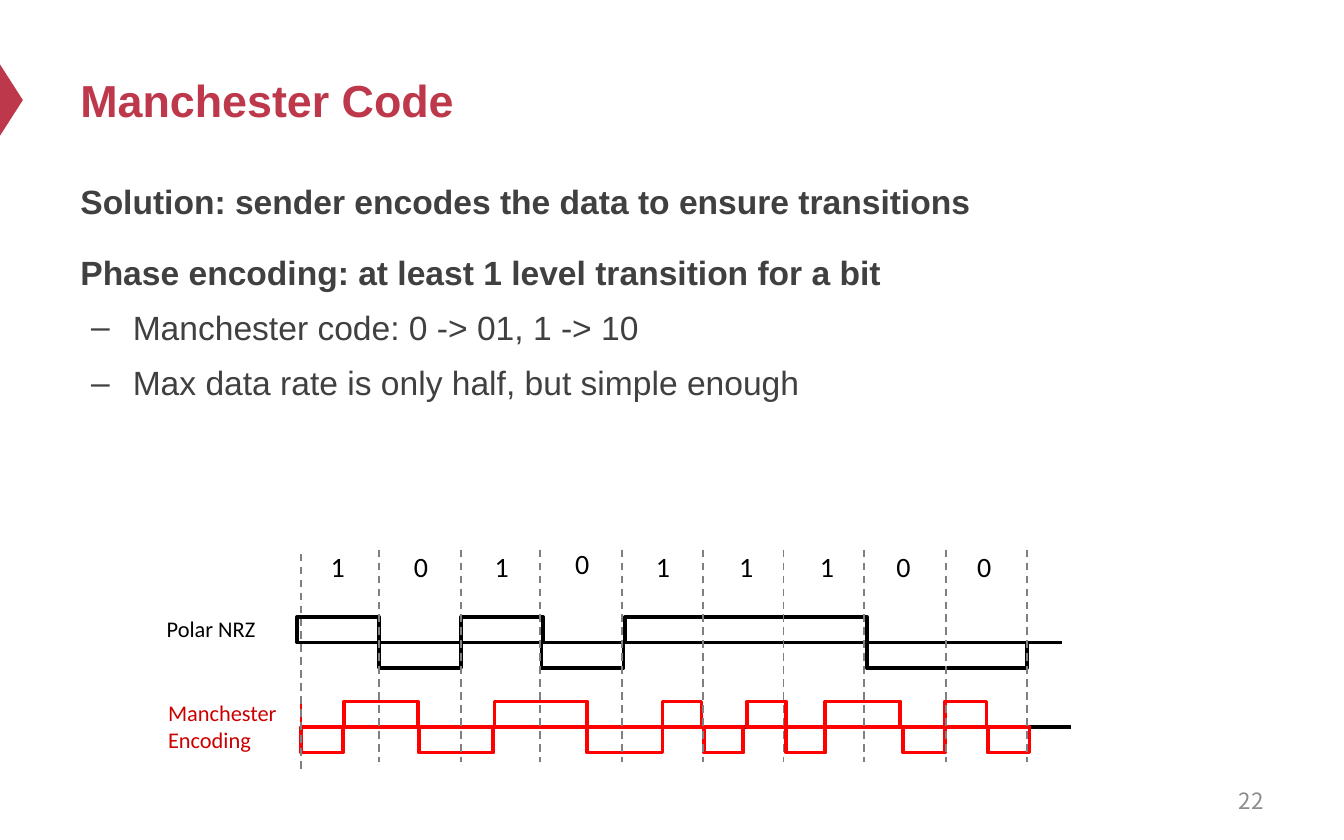
from typing import NamedTuple

from lxml.etree import SubElement
from pptx import Presentation
from pptx.dml.color import RGBColor
from pptx.enum.dml import MSO_LINE_DASH_STYLE as Dash
from pptx.enum.shapes import MSO_CONNECTOR_TYPE as Connector, MSO_SHAPE as Preset
from pptx.enum.text import MSO_ANCHOR as Anchor, PP_ALIGN as Align
from pptx.oxml.ns import qn
from pptx.util import Emu, Pt

EMU_PER_PX = 9144  # 100 px to the inch

CRIMSON = RGBColor(0xBE, 0x38, 0x4B)
DARK_GRAY = RGBColor(0x40, 0x40, 0x40)
PAGE_GRAY = RGBColor(0x8C, 0x8C, 0x8C)
DIVIDER_GRAY = RGBColor(0x80, 0x80, 0x80)
LABEL_RED = RGBColor(0xCC, 0x00, 0x00)
RED = RGBColor(0xFF, 0x00, 0x00)
BLACK = RGBColor(0x00, 0x00, 0x00)


class Box(NamedTuple):
    left: int
    top: int
    width: int
    height: int


class Line(NamedTuple):
    start: tuple[int, int]
    end: tuple[int, int]
    color: RGBColor = BLACK
    weight: float = 2
    dash: Dash | None = None


class Pulse(NamedTuple):
    left: int
    width: int
    high: bool


class Wave(NamedTuple):
    """A signal drawn as boxes above (high) and below (low) its baseline."""
    baseline: Line
    color: RGBColor
    pulses: list[Pulse]


class Paragraph(NamedTuple):
    text: str
    bold: bool = False
    space_before: float = 0
    line_spacing: float = 1.0
    bullet: str = ""


class Label(NamedTuple):
    box: Box
    paragraphs: list[Paragraph]
    size: int
    font: str
    color: RGBColor
    wrap: bool = True
    anchor: Anchor = Anchor.TOP
    align: Align = Align.LEFT
    inset_x: int = 10
    inset_y: int = 5


def px(length: int) -> Emu:
    return Emu(length * EMU_PER_PX)


def set_all(target, values: dict) -> None:
    for name, value in values.items():
        setattr(target, name, value)


def add_preset(slide, preset: Preset, box: Box):
    shape = slide.shapes.add_shape(preset, *map(px, box))
    shape.shadow.inherit = False
    return shape


def add_marker(slide, box: Box, color: RGBColor) -> None:
    """Draw the title arrow as a triangle turned to the right."""
    marker = add_preset(slide, Preset.ISOSCELES_TRIANGLE, box)
    marker.rotation = 90
    marker.fill.solid()
    marker.fill.fore_color.rgb = color
    marker.line.fill.background()


def add_line(slide, line: Line) -> None:
    connector = slide.shapes.add_connector(
        Connector.STRAIGHT, *map(px, line.start + line.end))
    connector.line.color.rgb = line.color
    set_all(connector.line, {"width": Pt(line.weight), "dash_style": line.dash})
    SubElement(connector._element.spPr, qn("a:effectLst"))


def add_wave(slide, wave: Wave) -> None:
    add_line(slide, wave.baseline)
    middle = wave.baseline.start[1]
    for pulse in wave.pulses:
        top = middle - PULSE_HEIGHT if pulse.high else middle
        shape = add_preset(slide, Preset.RECTANGLE,
                           Box(pulse.left, top, pulse.width, PULSE_HEIGHT))
        shape.fill.background()
        shape.line.color.rgb = wave.color
        shape.line.width = Pt(2)


def add_bullet(paragraph, bullet: str) -> None:
    properties = paragraph._p.get_or_add_pPr()
    properties.set("marL", str(px(39)))
    properties.set("indent", str(px(-31)))
    SubElement(properties, qn("a:buFont")).set("typeface", "Arial")
    SubElement(properties, qn("a:buChar")).set("char", bullet)


def add_label(slide, label: Label) -> None:
    frame = slide.shapes.add_textbox(*map(px, label.box)).text_frame
    set_all(frame, {
        "word_wrap": label.wrap, "vertical_anchor": label.anchor,
        "margin_left": px(label.inset_x), "margin_right": px(label.inset_x),
        "margin_top": px(label.inset_y), "margin_bottom": px(label.inset_y),
    })
    for index, content in enumerate(label.paragraphs):
        paragraph = frame.add_paragraph() if index else frame.paragraphs[0]
        set_all(paragraph, {
            "alignment": label.align, "line_spacing": content.line_spacing,
            "space_before": Pt(content.space_before),
        })
        if content.bullet:
            add_bullet(paragraph, content.bullet)
        run = paragraph.add_run()
        run.text = content.text
        set_all(run.font, {"name": label.font, "size": Pt(label.size),
                           "bold": content.bold})
        run.font.color.rgb = label.color


def diagram_label(box: Box, lines: list[str], size: int = 12,
                  color: RGBColor = BLACK, wrap: bool = False) -> Label:
    return Label(box, [Paragraph(line) for line in lines], size, "Calibri",
                 color, wrap, inset_x=7, inset_y=4)


def heading(text: str) -> Paragraph:
    return Paragraph(text, True, 12, 1.2)


def bullet_point(text: str) -> Paragraph:
    return Paragraph(text, False, 3.6, 1.2, "–")


PULSE_HEIGHT = 19
BITS = "101011100"
BIT_LEFTS = (239, 301, 361, 421, 481, 543, 603, 660, 720)
BIT_EDGES = (224, 282, 343, 402, 463, 523, 583, 643, 704, 764)

TEXTS = [
    Label(Box(50, 25, 900, 98), [Paragraph("Manchester Code", True)],
          24, "Arial", CRIMSON, anchor=Anchor.MIDDLE),
    Label(Box(50, 124, 900, 412), [
        heading("Solution: sender encodes the data to ensure transitions"),
        heading("Phase encoding: at least 1 level transition for a bit"),
        bullet_point("Manchester code: 0 -> 01, 1 -> 10"),
        bullet_point("Max data rate is only half, but simple enough"),
    ], 18, "Arial", DARK_GRAY),
    Label(Box(717, 579, 233, 33), [Paragraph("22")], 12, "Noto Sans CJK SC",
          PAGE_GRAY, anchor=Anchor.MIDDLE, align=Align.RIGHT),
    diagram_label(Box(118, 516, 99, 48), ["Manchester", "Encoding"],
                  color=LABEL_RED, wrap=True),
    diagram_label(Box(117, 454, 82, 28), ["Polar NRZ"]),
]

MANCHESTER = Wave(Line((224, 541), (797, 541)), RED, [
    Pulse(left, width, index % 2 == 1) for index, (left, width) in enumerate([
        (224, 31), (256, 55), (312, 55), (368, 69), (437, 56), (493, 29),
        (524, 29), (556, 29), (585, 29), (614, 56), (672, 31), (703, 31),
        (735, 31)])])

POLAR_NRZ = Wave(Line((224, 478), (790, 478)), BLACK, [
    Pulse(left, width, index % 2 == 0) for index, (left, width) in enumerate([
        (221, 61), (282, 61), (343, 61), (403, 61), (465, 180), (645, 119)])])


def main() -> None:
    presentation = Presentation()
    set_all(presentation, {"slide_width": px(1000), "slide_height": px(625)})
    slide = presentation.slides.add_slide(presentation.slide_layouts[6])

    add_marker(slide, Box(-18, 66, 53, 17), CRIMSON)
    for label in TEXTS:
        add_label(slide, label)
    add_wave(slide, MANCHESTER)
    add_line(slide, Line((224, 522), (224, 541), RED, 1.5))
    add_wave(slide, POLAR_NRZ)
    for index, (bit, left) in enumerate(zip(BITS, BIT_LEFTS)):
        top = 403 if index == 3 else 405
        add_label(slide, diagram_label(Box(left, top, 26, 33), [bit], 15))
    for index, edge in enumerate(BIT_EDGES):
        top, bottom = (409, 567) if index else (412, 572)
        add_line(slide, Line((edge, top), (edge, bottom), DIVIDER_GRAY, 1, Dash.DASH))

    presentation.save("out.pptx")


if __name__ == "__main__":
    main()
